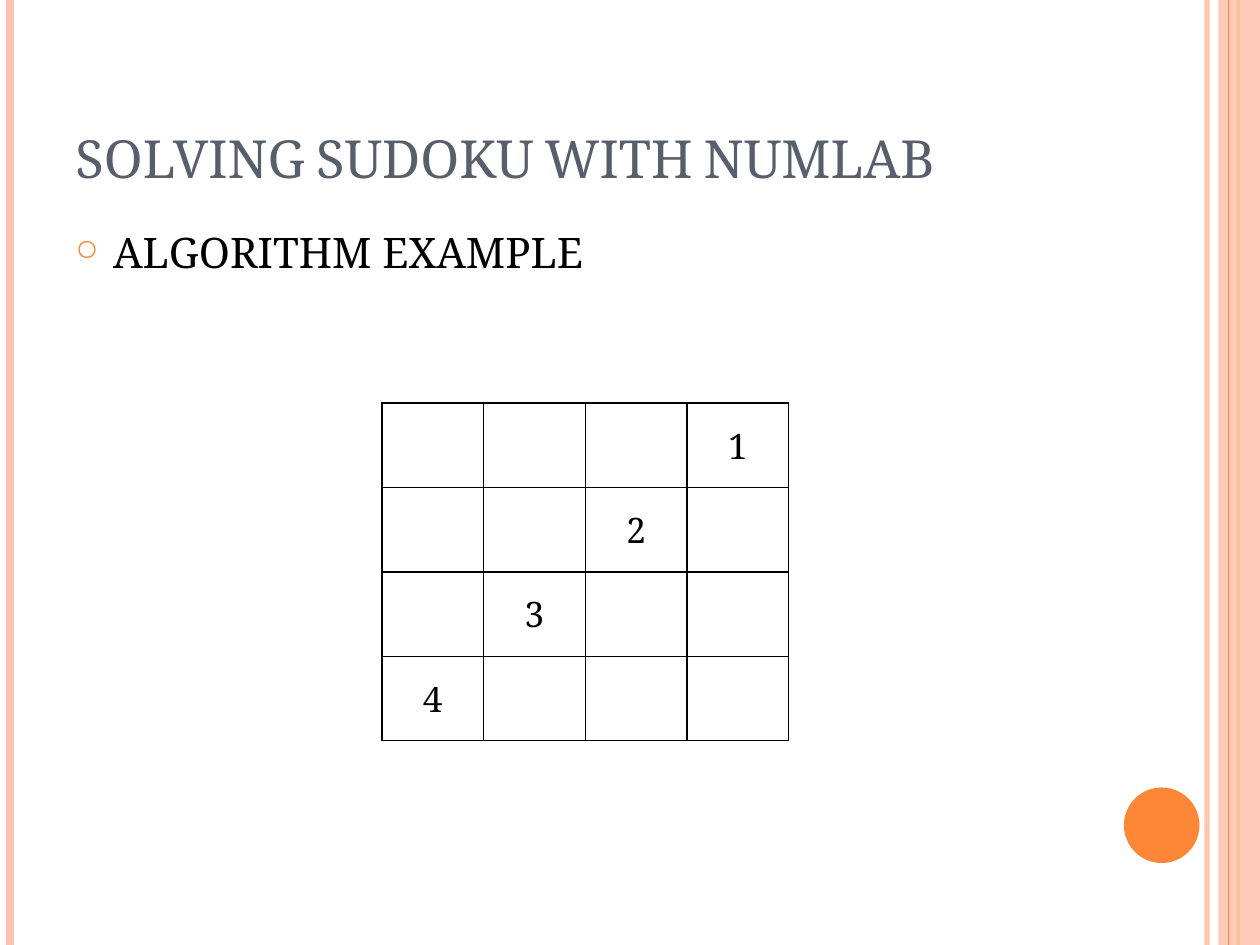
from lxml.etree import SubElement
from pptx import Presentation
from pptx.dml.color import RGBColor
from pptx.enum.shapes import MSO_CONNECTOR, MSO_SHAPE
from pptx.enum.text import MSO_ANCHOR, PP_ALIGN
from pptx.oxml.ns import qn
from pptx.util import Inches, Pt

W, H = 10, 7.5
FONT = "Noto Serif"
ORANGE, PEACH, SLATE, BLACK = "FE8637", "FEC3AE", "575F6D", "000000"


def rgb(code):
    return RGBColor.from_string(code)


def set_alpha(fill_parent, percent):
    color = next(fill_parent.iter(qn("a:srgbClr")))
    SubElement(color, qn("a:alpha")).set("val", str(percent * 1000))


def add_rule(s, x, top, height, color, width, alpha=100):
    line = s.shapes.add_connector(MSO_CONNECTOR.STRAIGHT, Inches(x), Inches(top),
                                  Inches(x), Inches(top + height))
    line.line.color.rgb = rgb(color)
    line.line.width = Pt(width)
    SubElement(line._element.spPr, qn("a:effectLst"))
    if alpha < 100:
        set_alpha(line._element.spPr, alpha)


def add_solid(s, kind, left, top, width, height, color):
    sp = s.shapes.add_shape(kind, Inches(left), Inches(top), Inches(width), Inches(height))
    sp.shadow.inherit = False
    sp.fill.solid()
    sp.fill.fore_color.rgb = rgb(color)
    sp.line.fill.background()
    return sp


def add_frame(s, left, top, width, height):
    right = left + width
    add_rule(s, right - 0.42, top, height, PEACH, 3, 93)
    add_rule(s, left + 0.08, top, height, PEACH, 4.5)
    add_rule(s, right - 0.17, top, height, ORANGE, 1.5)
    band = add_solid(s, MSO_SHAPE.RECTANGLE, right - 0.33, top, 0.33, height, PEACH)
    set_alpha(band._element.spPr, 87)
    add_rule(s, right - 0.25, top, height, ORANGE, 0.75)
    add_solid(s, MSO_SHAPE.OVAL, right - 1.08, top + height - 1.25, 0.6, 0.6, ORANGE)


def format_run(p, size, color):
    f = p.runs[0].font
    f.name, f.size = FONT, Pt(size)
    f.color.rgb = rgb(color)


def add_text(s, left, top, width, height, text, size, color, anchor):
    sp = s.shapes.add_textbox(Inches(left), Inches(top), Inches(width), Inches(height))
    tf = sp.text_frame
    tf.word_wrap = True
    tf.vertical_anchor = anchor
    tf.text = text
    format_run(tf.paragraphs[0], size, color)
    return tf.paragraphs[0]


def add_bullet(p, char, color, percent, indent):
    pPr = p._p.get_or_add_pPr()
    pPr.set("marL", str(Inches(indent)))
    pPr.set("indent", str(-Inches(indent)))
    p.space_before = Pt(6)
    bu_color = SubElement(pPr, qn("a:buClr"))
    SubElement(bu_color, qn("a:srgbClr")).set("val", color)
    SubElement(pPr, qn("a:buSzPct")).set("val", str(percent * 1000))
    SubElement(pPr, qn("a:buChar")).set("char", char)


def add_borders(cell, color, width):
    tcPr = cell._tc.get_or_add_tcPr()
    for side in ("lnL", "lnR", "lnT", "lnB"):
        ln = SubElement(tcPr, qn(f"a:{side}"))
        ln.set("w", str(Pt(width)))
        fill = SubElement(ln, qn("a:solidFill"))
        SubElement(fill, qn("a:srgbClr")).set("val", color)


def add_sudoku(s, left, top, width, height, size):
    table = s.shapes.add_table(size, size, Inches(left), Inches(top),
                               Inches(width), Inches(height)).table
    table.first_row = table.horz_banding = False
    for row in range(size):
        for col in range(size):
            cell = table.cell(row, col)
            add_borders(cell, BLACK, 1)
            cell.fill.background()
            cell.vertical_anchor = MSO_ANCHOR.MIDDLE
            if row + col == size - 1:
                cell.text = str(row + 1)
                p = cell.text_frame.paragraphs[0]
                p.alignment = PP_ALIGN.CENTER
                format_run(p, 20, BLACK)


def main():
    prs = Presentation()
    prs.slide_width, prs.slide_height = Inches(W), Inches(H)
    s = prs.slides.add_slide(prs.slide_layouts[6])
    add_frame(s, 0, 0, W, H)
    margin, width = 0.05 * W, 8.17
    title = add_text(s, margin, 0.04 * H, width, 1.25, "SOLVING SUDOKU WITH NUMLAB",
                     30, SLATE, MSO_ANCHOR.BOTTOM)
    title.runs[0]._r.get_or_add_rPr().set("cap", "small")
    p = add_text(s, margin, 1.75, width, 5.33, "ALGORITHM EXAMPLE",
                 24, BLACK, MSO_ANCHOR.TOP)
    add_bullet(p, "○", ORANGE, 70, 0.3)
    add_sudoku(s, 3.03, 3.2, 3.23, 2.68, 4)
    prs.save("out.pptx")


if __name__ == "__main__":
    main()
